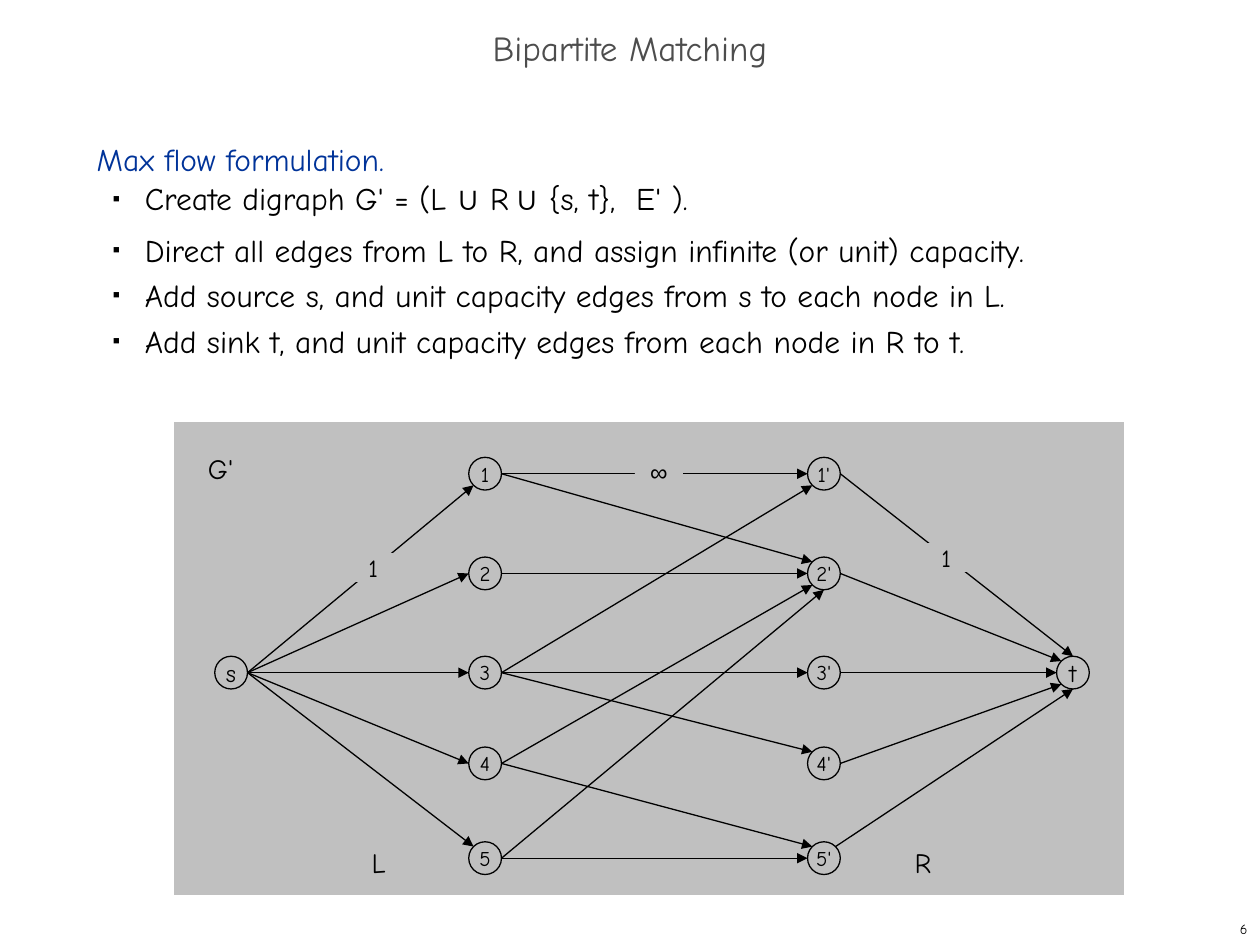
"""Build the Bipartite Matching slide with its max flow network."""
from math import cos, radians, sin

from lxml.etree import SubElement
from pptx import Presentation
from pptx.dml.color import RGBColor
from pptx.enum.shapes import MSO_CONNECTOR as CONN, MSO_SHAPE as SHAPE
from pptx.enum.text import MSO_ANCHOR as ANCHOR, MSO_AUTO_SIZE as AUTO, PP_ALIGN as ALIGN
from pptx.oxml.ns import qn
from pptx.util import Cm, Pt

rgb = RGBColor.from_string
HAND, SANS = "Comic Neue", "Arial"
BLACK, GRAY = "000000", "C0C0C0"


def add_run(p, text, size, color=BLACK, font=HAND):
    r = p.add_run()
    r.text = text
    for key, value in {"size": Pt(size), "name": font, "bold": False}.items():
        setattr(r.font, key, value)
    r.font.color.rgb = rgb(color)
    return r


def add_box(kind, x, y, w, h, line=False):
    sp = s.shapes.add_shape(kind, Cm(x), Cm(y), Cm(w), Cm(h))
    sp.shadow.inherit = False
    sp.fill.solid()
    sp.fill.fore_color.rgb = rgb(GRAY)
    if line:
        sp.line.color.rgb = rgb(BLACK)
        sp.line.width = Pt(0.75)
    else:
        sp.line.fill.background()
    return sp


prs = Presentation()
prs.slide_width, prs.slide_height = Cm(25.4), Cm(19.05)
s = prs.slides.add_slide(prs.slide_layouts[5])

sp = s.shapes.title
place = {"left": Cm(0), "top": Cm(0.43), "width": Cm(25.4), "height": Cm(1.27)}
for key, value in place.items():
    setattr(sp, key, value)
tf = sp.text_frame
frame = {"auto_size": AUTO.NONE, "vertical_anchor": ANCHOR.MIDDLE, "word_wrap": True}
for key, value in frame.items():
    setattr(tf, key, value)
p = tf.paragraphs[0]
p.alignment, p.line_spacing = ALIGN.CENTER, 0.7
add_run(p, "Bipartite Matching", 20, "4D4D4D")

tf = s.shapes.add_textbox(Cm(1.7), Cm(2.54), Cm(21.79), Cm(15.04)).text_frame
tf.word_wrap = True
p = tf.paragraphs[0]
p.line_spacing = Pt(26)
add_run(p, "Max flow formulation.", 18, "003399")

bullets = [
    [("Create digraph G' = (L ", HAND), ("∪", SANS), (" R", HAND), (" ", HAND),
     ("∪", SANS), (" {s, t},  E' ).", HAND)],
    [("Direct all edges from L to R, and assign infinite (or unit) capacity.", HAND)],
    [("Add source s, and unit capacity edges from s to each node in L.", HAND)],
    [("Add sink t, and unit capacity edges from each node in R to t.", HAND)],
]
for runs in bullets:
    p = tf.add_paragraph()
    p.level, p.line_spacing = 1, Pt(26)
    pPr = p._p.get_or_add_pPr()
    pPr.set("marL", str(Cm(0.97)))
    pPr.set("indent", str(-Cm(0.64)))
    SubElement(SubElement(pPr, qn("a:buClr")), qn("a:srgbClr"), val=BLACK)
    SubElement(pPr, qn("a:buSzPct"), val="35000")
    SubElement(pPr, qn("a:buFont"), typeface=SANS)
    SubElement(pPr, qn("a:buChar"), char="■")
    for text, font in runs:
        subscript = text == " "
        r = add_run(p, text, 20 if subscript else 18, font=font)
        if subscript:
            r._r.get_or_add_rPr().set("baseline", "-25000")

add_box(SHAPE.RECTANGLE, 3.51, 8.51, 19.15, 9.53)

rows = [9.55, 11.56, 13.56, 15.39, 17.3]
nodes = {"s": (4.66, rows[2]), "t": (21.63, rows[2])}
for i, y in enumerate(rows, 1):
    nodes[f"{i}"] = (9.78, y)
    nodes[f"{i}'"] = (16.61, y)
radius = 0.33
for name, (x, y) in nodes.items():
    sp = add_box(SHAPE.OVAL, x - radius, y - radius, 2 * radius, 2 * radius, line=True)
    tf = sp.text_frame
    tf.word_wrap, tf.vertical_anchor = False, ANCHOR.MIDDLE
    p = tf.paragraphs[0]
    p.alignment = ALIGN.CENTER
    add_run(p, name, 14 if name in "st" else 12)

edges = [
    ("s", "1", 0, 135), ("s", "2", 0, 180), ("s", "3", 0, 180),
    ("s", "4", 0, 180), ("s", "5", 0, 225),
    ("1", "1'", 0, 180), ("1", "2'", 0, 225), ("2", "2'", 0, 180),
    ("3", "1'", 0, 135), ("3", "3'", 0, 180), ("3", "4'", 0, 225),
    ("4", "2'", 0, 135), ("4", "5'", 0, 225),
    ("5", "2'", 0, 90), ("5", "5'", 0, 180),
    ("1'", "t", 0, 270), ("2'", "t", 0, 225), ("3'", "t", 0, 180),
    ("4'", "t", 0, 135), ("5'", "t", 315, 90),
]
for start, end, leave, arrive in edges:
    points = []
    for name, angle in ((start, leave), (end, arrive)):
        x, y = nodes[name]
        a = radians(angle)
        points += [Cm(x + radius * cos(a)), Cm(y + radius * sin(a))]
    c = s.shapes.add_connector(CONN.STRAIGHT, *points)
    c.line.color.rgb = rgb(BLACK)
    c.line.width = Pt(0.75)
    SubElement(c.line._get_or_add_ln(), qn("a:tailEnd"), type="triangle")
    SubElement(c._element.spPr, qn("a:effectLst"))

for text, x, y, font in [("1", 7.04, 11.15, HAND), ("1", 18.59, 10.95, HAND),
                         ("∞", 12.8, 9.22, SANS)]:
    tf = add_box(SHAPE.RECTANGLE, x, y, 0.97, 0.58).text_frame
    for side in ("left", "top", "right", "bottom"):
        setattr(tf, f"margin_{side}", 0)
    tf.vertical_anchor = ANCHOR.TOP
    p = tf.paragraphs[0]
    p.alignment = ALIGN.CENTER
    add_run(p, text, 14, font=font)

for text, x, y in [("R", 18.19, 16.92), ("L", 7.24, 16.92), ("G'", 3.94, 8.97)]:
    tf = s.shapes.add_textbox(Cm(x), Cm(y), Cm(1.55), Cm(0.94)).text_frame
    tf.word_wrap = True
    add_run(tf.paragraphs[0], text, 16)

tf = s.shapes.add_textbox(Cm(20.12), Cm(18.42), Cm(5.28), Cm(0.63)).text_frame
tf.word_wrap, tf.vertical_anchor = True, ANCHOR.MIDDLE
p = tf.paragraphs[0]
p.alignment = ALIGN.RIGHT
add_run(p, "6", 8)

prs.save("out.pptx")
